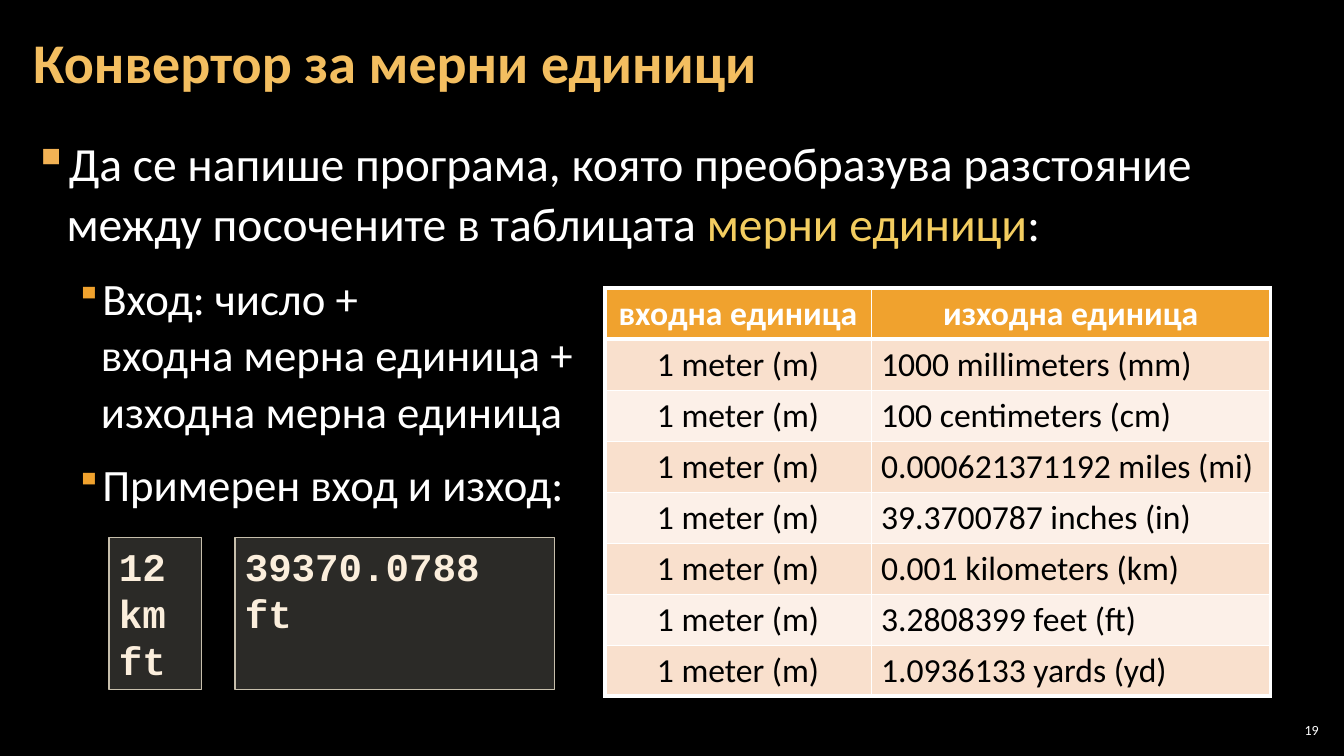
from dataclasses import dataclass

from lxml import etree
from pptx import Presentation
from pptx.dml.color import RGBColor
from pptx.enum.shapes import MSO_SHAPE
from pptx.enum.text import MSO_ANCHOR, PP_ALIGN
from pptx.oxml.ns import qn
from pptx.util import Inches, Pt

RECT = MSO_SHAPE.RECTANGLE
TOP, MIDDLE = MSO_ANCHOR.TOP, MSO_ANCHOR.MIDDLE
LEFT, CENTER, RIGHT = PP_ALIGN.LEFT, PP_ALIGN.CENTER, PP_ALIGN.RIGHT


@dataclass(frozen=True)
class Theme:
    """Colours, fonts and type sizes of the slide."""
    back: str = "000000"
    white: str = "FFFFFF"
    title: str = "F3BE60"
    mark: str = "F3CD60"
    dot: str = "F2B254"
    gold: str = "F0A22E"
    bands: tuple = ("F9E0CD", "FCF0E8")
    code: str = "FBEEDC"
    panel: str = "D9D5C7"
    edge: str = "C7BFAC"
    sans: str = "Calibri"
    mono: str = "Courier New"
    head: int = 40
    lead: int = 34
    point: int = 32
    cell: int = 24
    sample: int = 28
    page: int = 10


T = Theme()
UNITS = ("1000 millimeters (mm)", "100 centimeters (cm)",
         "0.000621371192 miles (mi)", "39.3700787 inches (in)",
         "0.001 kilometers (km)", "3.2808399 feet (ft)", "1.0936133 yards (yd)")
ROWS = [("входна единица", "изходна единица")]
ROWS += [("1 meter (m)", unit) for unit in UNITS]


def put(item, **values):
    """Set each named format value on an item."""
    for name, value in values.items():
        setattr(item, name, value)


def paint(fill, color):
    """Give a fill one solid colour."""
    fill.solid()
    fill.fore_color.rgb = RGBColor.from_string(color)


def add(node, tag, **values):
    """Append an XML child with its attributes."""
    return etree.SubElement(node, qn(tag), values)


def write(para, text, size, color, bold=False, face=T.sans):
    """Add a run to a paragraph, with line breaks at newlines."""
    for num, line in enumerate(text.split("\n")):
        if num:
            para.add_line_break()
        run = para.add_run()
        run.text = line
        put(run.font, size=Pt(size), bold=bold, name=face)
        run.font.color.rgb = RGBColor.from_string(color)


def box(slide, area, side, anchor):
    """Add a wrapping text box and return its frame."""
    frame = slide.shapes.add_textbox(*map(Inches, area)).text_frame
    put(frame, word_wrap=True, vertical_anchor=anchor,
        margin_left=Inches(side), margin_right=Inches(side),
        margin_top=Inches(0.04), margin_bottom=Inches(0.04))
    return frame


def bullet(para, left, hang, color, scale):
    """Give a paragraph its spacing, indent and square bullet."""
    put(para, line_spacing=1.05, space_before=Pt(6), space_after=Pt(6))
    props = para._p.get_or_add_pPr()
    props.set("marL", str(Inches(left)))
    props.set("indent", str(-Inches(hang)))
    add(add(props, "a:buClr"), "a:srgbClr", val=color)
    add(props, "a:buSzPct", val=str(scale * 1000))
    add(props, "a:buChar", char="▪")


def body(slide):
    """Write the task and its two points."""
    frame = box(slide, (0.21, 1.26, 12.91, 6.09), 0.12, TOP)
    para = frame.paragraphs[0]
    bullet(para, 0.33, 0.33, T.dot, 100)
    for text, color in (
            ("Да се напише програма, която преобразува разстояние "
             "между посочените в таблицата ", T.white),
            ("мерни единици", T.mark), (":", T.white)):
        write(para, text, T.lead, color)
    for text in ("Вход: число +\nвходна мерна единица +\nизходна мерна единица",
                 "Примерен вход и изход:"):
        para = frame.add_paragraph()
        para.level = 1
        bullet(para, 0.67, 0.25, T.gold, 80)
        write(para, text, T.point, T.white)


def border(cell, **widths):
    """Draw the sides of a cell in white at the given widths."""
    props = cell._tc.get_or_add_tcPr()
    for side, width in widths.items():
        line = add(props, "a:ln" + side, w=str(Pt(width)))
        add(add(line, "a:solidFill"), "a:srgbClr", val=T.white)


def grid(slide):
    """Add the table of units."""
    last = len(ROWS) - 1
    table = slide.shapes.add_table(
        len(ROWS), 2, *map(Inches, (6, 2.86, 6.6, 4.05))).table
    table.horz_banding = False
    for col, width in zip(table.columns, (2.64, 3.96)):
        col.width = Inches(width)
    for r, row in enumerate(ROWS):
        for c, text in enumerate(row):
            cell = table.cell(r, c)
            border(cell, L=1 if c else 3, R=3 if c else 1,
                   T=3 if r < 2 else 1, B=3 if r in (0, last) else 1)
            paint(cell.fill, T.bands[(r - 1) % 2] if r else T.gold)
            para = cell.text_frame.paragraphs[0]
            para.alignment = LEFT if r and c else CENTER
            write(para, text, T.cell, T.back if r else T.white, not r)


def sample(slide, left, width, lines):
    """Add a translucent panel with sample lines."""
    panel = slide.shapes.add_shape(
        RECT, *map(Inches, (left, 5.33, width, 1.51)))
    panel.shadow.inherit = False
    paint(panel.fill, T.panel)
    tint = panel._element.spPr.find(qn("a:solidFill")).find(qn("a:srgbClr"))
    add(tint, "a:alpha", val="20000")
    paint(panel.line.fill, T.edge)
    panel.line.width = Pt(1)
    frame = panel.text_frame
    put(frame, word_wrap=True, vertical_anchor=TOP)
    for num, line in enumerate(lines):
        para = frame.add_paragraph() if num else frame.paragraphs[0]
        para.alignment = LEFT
        write(para, line, T.sample, T.code, True, T.mono)


def main():
    """Build and save the slide."""
    deck = Presentation()
    put(deck, slide_width=Inches(13.33), slide_height=Inches(7.5))
    slide = deck.slides.add_slide(deck.slide_layouts[6])
    paint(slide.background.fill, T.back)
    page = box(slide, (12.65, 7.14, 0.47, 0.21), 0.04, MIDDLE).paragraphs[0]
    page.alignment = RIGHT
    write(page, "19", T.page, T.white)
    body(slide)
    title = box(slide, (0.21, 0.04, 10.47, 1.21), 0.12, MIDDLE).paragraphs[0]
    title.line_spacing = 0.9
    write(title, "Конвертор за мерни единици", T.head, T.title, True)
    grid(slide)
    sample(slide, 1.08, 0.92, ("12", "km", "ft"))
    sample(slide, 2.33, 3.17, ("39370.0788 ft",))
    deck.save("out.pptx")


main()
